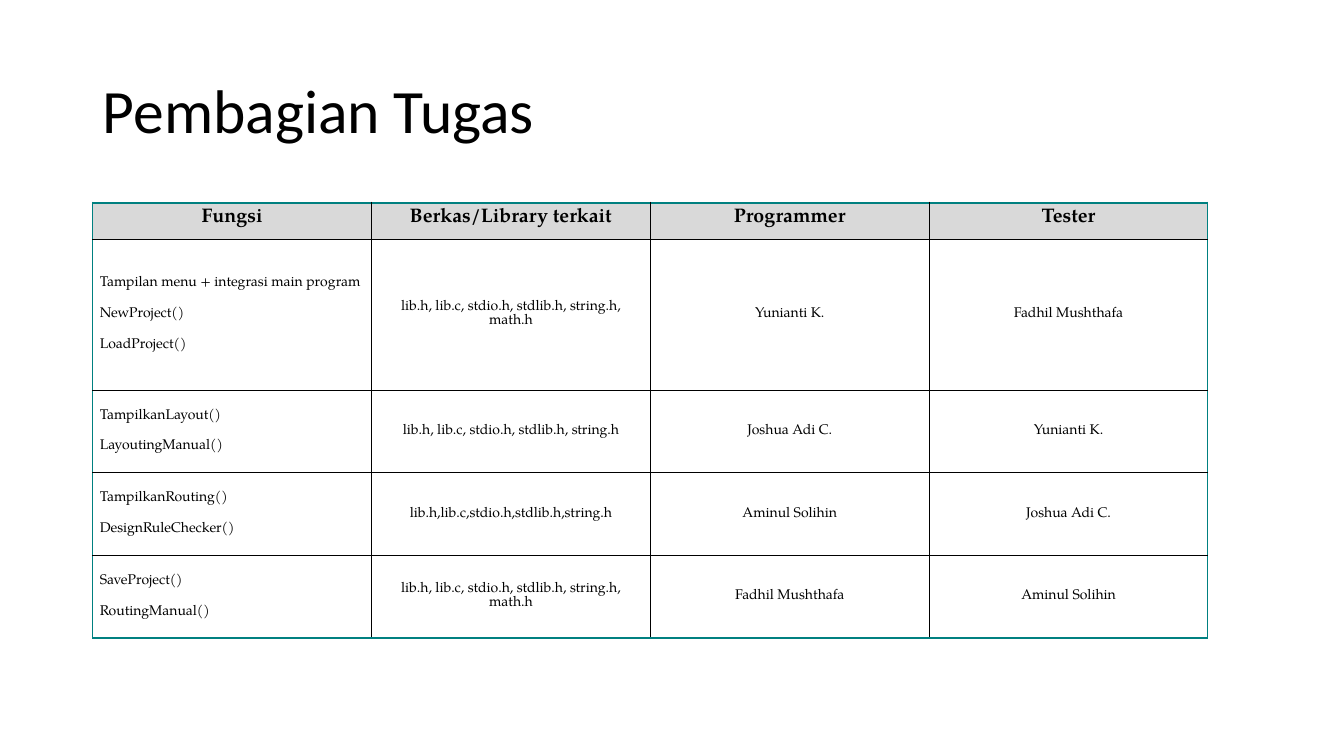
from dataclasses import dataclass

from lxml.etree import SubElement
from pptx import Presentation
from pptx.dml.color import RGBColor
from pptx.enum.text import MSO_ANCHOR, PP_ALIGN
from pptx.oxml.ns import qn
from pptx.util import Inches, Pt

BLACK, TEAL, GREY = "000000", "008080", "D9D9D9"
BODY_FONT = "TeX Gyre Pagella"
COL_WIDTH = 2.765
ROW_HEIGHTS = (0.36, 1.5, 0.82, 0.82, 0.82)
HEADINGS = ("Fungsi", "Berkas/Library terkait", "Programmer", "Tester")


@dataclass
class Task:
    functions: tuple[str, ...]
    libraries: str
    programmer: str
    tester: str


TASKS = (
    Task(("Tampilan menu + integrasi main program", "NewProject()", "LoadProject()"),
         "lib.h, lib.c, stdio.h, stdlib.h, string.h, math.h",
         "Yunianti K.", "Fadhil Mushthafa"),
    Task(("TampilkanLayout()", "LayoutingManual()"),
         "lib.h, lib.c, stdio.h, stdlib.h, string.h",
         "Joshua Adi C.", "Yunianti K."),
    Task(("TampilkanRouting()", "DesignRuleChecker()"),
         "lib.h,lib.c,stdio.h,stdlib.h,string.h",
         "Aminul Solihin", "Joshua Adi C."),
    Task(("SaveProject()", "RoutingManual()"),
         "lib.h, lib.c, stdio.h, stdlib.h, string.h, math.h",
         "Fadhil Mushthafa", "Aminul Solihin"),
)


def color(value: str) -> RGBColor:
    return RGBColor.from_string(value)


def write(tf, *lines: str, size: float, font: str = BODY_FONT, bold: bool = False,
          align=PP_ALIGN.LEFT, spacing=None, gap: float = 0) -> None:
    for i, line in enumerate(lines):
        p = tf.add_paragraph() if i else tf.paragraphs[0]
        p.alignment, p.line_spacing = align, spacing
        p.space_before = p.space_after = Pt(gap)
        r = p.add_run()
        r.text = line
        r.font.name, r.font.size, r.font.bold = font, Pt(size), bold
        r.font.color.rgb = color(BLACK)


def border(cell, side: str, value: str, width: float) -> None:
    ln = SubElement(cell._tc.get_or_add_tcPr(), qn(f"a:ln{side}"), w=str(Pt(width)))
    fill = SubElement(ln, qn("a:solidFill"))
    SubElement(fill, qn("a:srgbClr"), val=value)


def format_cell(cell, row: int, col: int) -> None:
    inner = (BLACK, 0.5)
    last_row, last_col = len(TASKS), len(HEADINGS) - 1
    border(cell, "L", *((TEAL, 0.75) if col == 0 else inner))
    border(cell, "R", *((TEAL, 0.75) if col == last_col else inner))
    border(cell, "T", *((TEAL, 1.5) if row == 0 else inner))
    border(cell, "B", *((TEAL, 1.5) if row == last_row else inner))
    cell.vertical_anchor = MSO_ANCHOR.MIDDLE
    cell.margin_left = cell.margin_right = Inches(0.07)
    cell.margin_top = cell.margin_bottom = Inches(0.05)
    if row == 0:
        cell.fill.solid()
        cell.fill.fore_color.rgb = color(GREY)
    else:
        cell.fill.background()


def add_title(s, text: str) -> None:
    sp = s.shapes.title
    sp.left, sp.top, sp.width, sp.height = map(Inches, (0.92, 0.4, 11.5, 1.45))
    sp.text_frame.vertical_anchor = MSO_ANCHOR.MIDDLE
    write(sp.text_frame, text, size=44, font="Calibri", spacing=0.9)


def add_task_table(s) -> None:
    cols = len(HEADINGS)
    table = s.shapes.add_table(
        len(ROW_HEIGHTS), cols, Inches(0.92), Inches(2.01),
        Inches(COL_WIDTH * cols), Inches(sum(ROW_HEIGHTS))).table
    table.first_row = table.horz_banding = False
    for column in table.columns:
        column.width = Inches(COL_WIDTH)
    for row, height in zip(table.rows, ROW_HEIGHTS):
        row.height = Inches(height)
    rows = [[(h,) for h in HEADINGS]]
    rows += [[t.functions, (t.libraries,), (t.programmer,), (t.tester,)] for t in TASKS]
    for i, row in enumerate(rows):
        for j, lines in enumerate(row):
            cell = table.cell(i, j)
            format_cell(cell, i, j)
            write(cell.text_frame, *lines, size=10 if i else 14, bold=i == 0,
                  align=PP_ALIGN.LEFT if i and j == 0 else PP_ALIGN.CENTER,
                  spacing=Pt(10), gap=6)


def main() -> None:
    prs = Presentation()
    prs.slide_width, prs.slide_height = Inches(13.33), Inches(7.5)
    s = prs.slides.add_slide(prs.slide_layouts[5])
    add_title(s, "Pembagian Tugas")
    add_task_table(s)
    prs.save("out.pptx")


if __name__ == "__main__":
    main()
